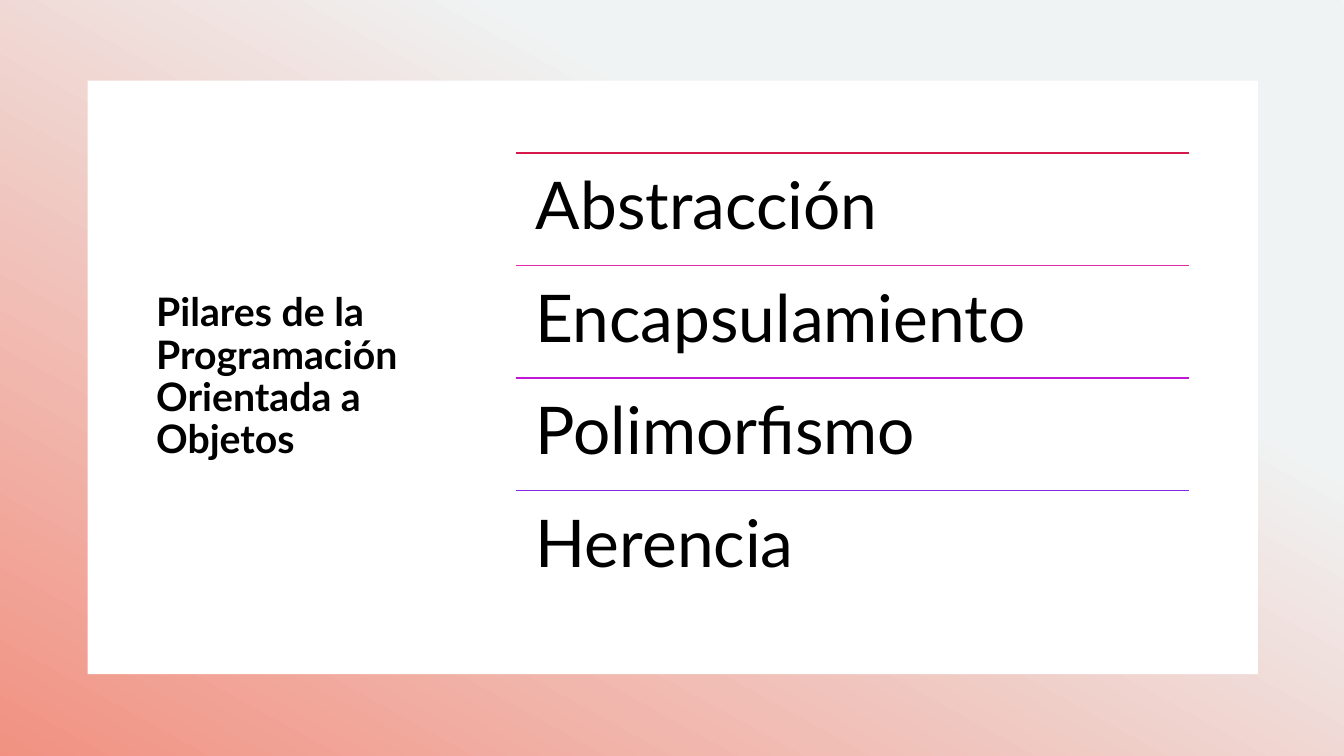
import pptx
import pptx.dml.color
import pptx.enum.shapes
import pptx.enum.text
import pptx.oxml
import pptx.oxml.ns
import pptx.util

Pt = pptx.util.Pt
FONT = "Lato"
TITLE = "Pilares de la Programación Orientada a Objetos"
PILLARS = [
    ("Abstracción", "D5174B"),
    ("Encapsulamiento", "E729AC"),
    ("Polimorfismo", "C117D5"),
    ("Herencia", "8329E7"),
]


def rgb(value):
    """Turn a hex string into a colour."""
    return pptx.dml.color.RGBColor.from_string(value)


def add_rect(s, x, y, w, h):
    """Add a rectangle without outline or shadow."""
    sp = s.shapes.add_shape(
        pptx.enum.shapes.MSO_SHAPE.RECTANGLE, Pt(x), Pt(y), Pt(w), Pt(h))
    sp.shadow.inherit = False
    sp.line.fill.background()
    return sp


def write(tf, text, size, anchor, inset_x, inset_y, bold=False):
    """Write one left-aligned paragraph into a text frame."""
    tf.text = text
    tf.word_wrap = True
    tf.auto_size = pptx.enum.text.MSO_AUTO_SIZE.NONE
    tf.vertical_anchor = anchor
    tf.margin_left = tf.margin_right = Pt(inset_x)
    tf.margin_top = tf.margin_bottom = Pt(inset_y)
    p = tf.paragraphs[0]
    p.alignment = pptx.enum.text.PP_ALIGN.LEFT
    p.line_spacing = 0.9
    p.space_before = Pt(0)
    font = p.runs[0].font
    font.name, font.size, font.bold = FONT, Pt(size), bold
    font.color.rgb = rgb("000000")


def add_backdrop(s, x, y, w, h):
    """Cover the box with a slightly turned gradient."""
    sp = add_rect(s, x, y, w, h)
    sp.rotation = 359
    sp.fill.gradient()
    sp.fill.gradient_angle = 240
    stops = [(0.32, "F0F3F3"), (1, "F18F7F")]
    for stop, (position, color) in zip(sp.fill.gradient_stops, stops):
        stop.position = position
        stop.color.rgb = rgb(color)


def add_card(s, x, y, w, h):
    """Add the white card."""
    sp = add_rect(s, x, y, w, h)
    sp.fill.solid()
    sp.fill.fore_color.rgb = rgb("FFFFFF")


def add_title(s, x, y, w, h):
    """Place the title placeholder in front of the card."""
    sp = s.shapes.title
    sp.left, sp.top, sp.width, sp.height = Pt(x), Pt(y), Pt(w), Pt(h)
    write(sp.text_frame, TITLE, 28, pptx.enum.text.MSO_ANCHOR.MIDDLE,
          7.2, 3.6, bold=True)
    s.shapes.element.append(sp.element)


def add_pillars(s, x, y, w, h):
    """Stack the pillars in equal rows, each under a coloured rule."""
    group = s.shapes.add_group_shape()
    row_h = h / len(PILLARS)
    for i, (name, color) in enumerate(PILLARS):
        top = y + i * row_h
        rule = group.shapes.add_connector(
            pptx.enum.shapes.MSO_CONNECTOR.STRAIGHT,
            Pt(x), Pt(top), Pt(x + w), Pt(top))
        rule.line.color.rgb = rgb(color)
        rule.line.width = Pt(1)
        rule.element.spPr.append(
            pptx.oxml.parse_xml(
                "<a:effectLst %s/>" % pptx.oxml.ns.nsdecls("a")))
        sp = group.shapes.add_textbox(Pt(x), Pt(top), Pt(w), Pt(row_h))
        write(sp.text_frame, name, 47, pptx.enum.text.MSO_ANCHOR.TOP,
              14.1, 14.1)


def main():
    """Build and save the slide."""
    prs = pptx.Presentation()
    prs.slide_width, prs.slide_height = Pt(960), Pt(540)
    s = prs.slides.add_slide(prs.slide_layouts[5])
    add_backdrop(s, -4.5, -8.4, 969, 556.8)
    add_card(s, 62.6, 57.6, 836, 424)
    add_title(s, 104.4, 162, 237.6, 215.3)
    add_pillars(s, 368.6, 109.3, 481, 321.6)
    prs.save("out.pptx")


if __name__ == "__main__":
    main()
